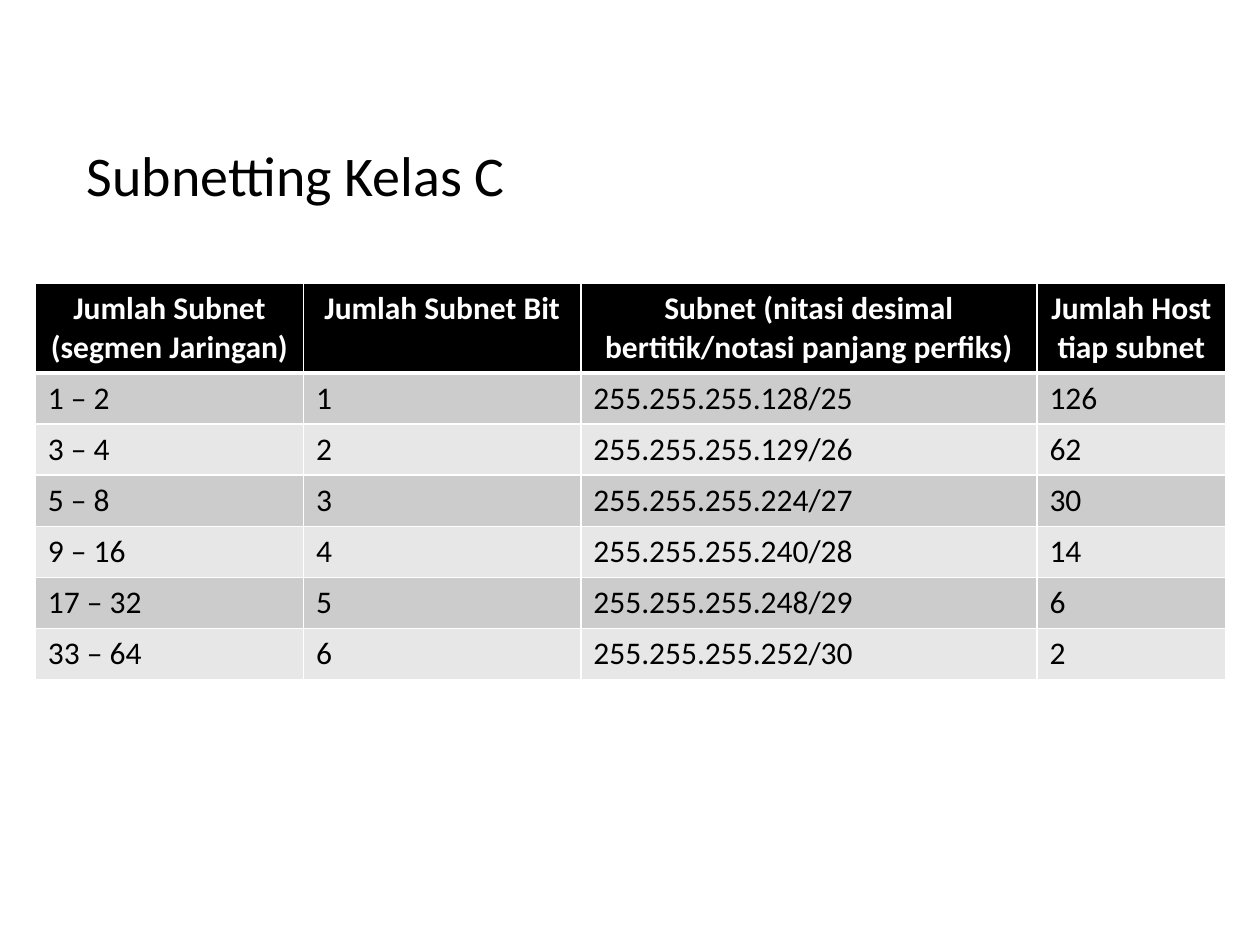
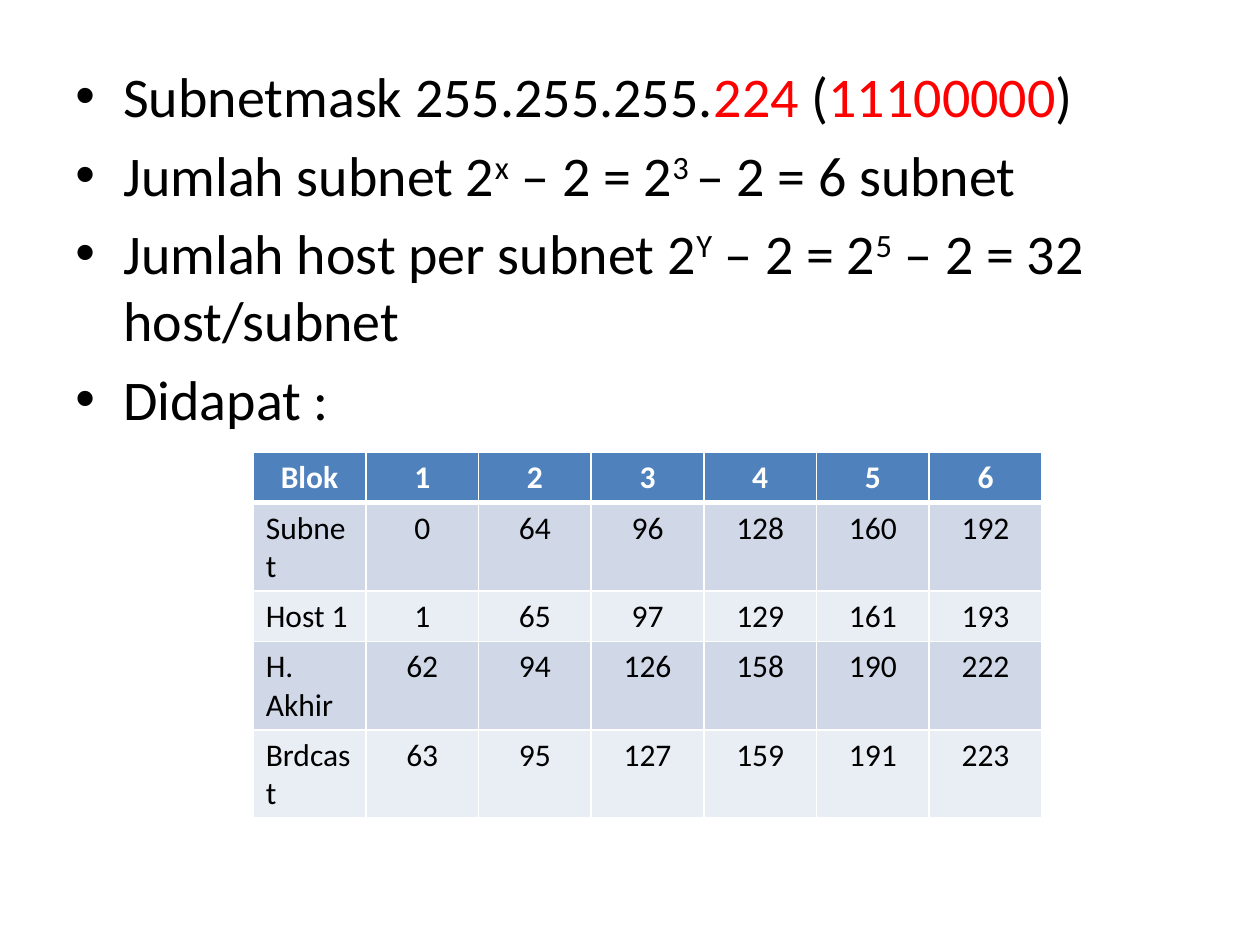
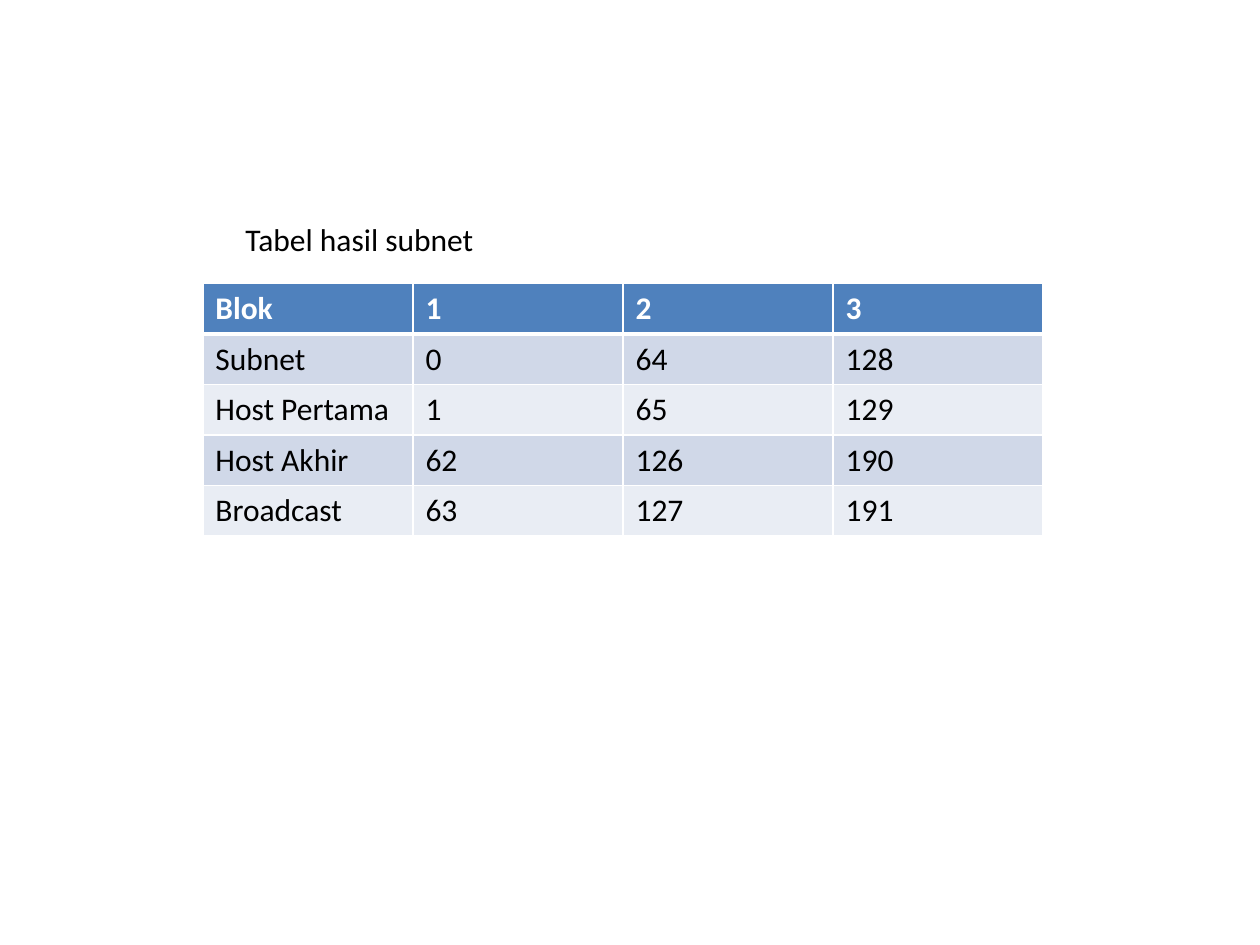
from lxml import etree
from pptx import Presentation, util as u
from pptx.dml.color import RGBColor
from pptx.enum import text
from pptx.oxml import ns

BLACK = RGBColor(0x00, 0x00, 0x00)
WHITE = RGBColor(0xFF, 0xFF, 0xFF)
RED = RGBColor(0xFF, 0x00, 0x00)
BLUE = RGBColor(0x4F, 0x81, 0xBD)

# Header colour, then the two alternating row colours
GRAY_BANDS = (BLACK, RGBColor(0xCC, 0xCC, 0xCC), RGBColor(0xE7, 0xE7, 0xE7))
BLUE_BANDS = (BLUE, RGBColor(0xD0, 0xD8, 0xE8), RGBColor(0xE9, 0xED, 0xF4))

FONT = "Calibri"
LARGE, SMALL = 32, 18
ROW_HEIGHT = 0.4
LEFT, CENTER = text.PP_ALIGN.LEFT, text.PP_ALIGN.CENTER


def add_element(parent, tag, **attributes):
    return etree.SubElement(parent, ns.qn(tag), attributes)


class Deck:
    def __init__(self):
        self.presentation = Presentation()
        self.presentation.slide_width = u.Inches(10)
        self.presentation.slide_height = u.Inches(7.5)
        self.slide = None

    def new_slide(self):
        self.slide = self.presentation.slides.add_slide(self.presentation.slide_layouts[6])

    def style(self, font, size, color=BLACK, bold=False):
        font.name = FONT
        font.size = u.Pt(size)
        font.color.rgb = color
        font.bold = bold

    def text_box(self, left, top, width, height):
        box = self.slide.shapes.add_textbox(*map(u.Inches, (left, top, width, height)))
        return box.text_frame

    def label(self, left, top, width, height, words, size):
        frame = self.text_box(left, top, width, height)
        frame.word_wrap = False
        frame.auto_size = text.MSO_AUTO_SIZE.SHAPE_TO_FIT_TEXT
        frame.text = words
        self.style(frame.paragraphs[0].runs[0].font, size)

    def bullets(self, left, top, width, height, items):
        """Each item is a list of (words, kind), kind being "", "red" or "super"."""
        frame = self.text_box(left, top, width, height)
        frame.word_wrap = True
        for index, item in enumerate(items):
            paragraph = frame.add_paragraph() if index else frame.paragraphs[0]
            properties = paragraph._p.get_or_add_pPr()
            properties.set("marL", str(u.Inches(0.38)))
            properties.set("indent", str(-u.Inches(0.38)))
            if index:
                spacing = add_element(properties, "a:spcBef")
                add_element(spacing, "a:spcPct", val="20000")
            add_element(properties, "a:buFont", typeface="Arial")
            add_element(properties, "a:buChar", char="•")
            for words, kind in item:
                run = paragraph.add_run()
                run.text = words
                self.style(run.font, LARGE, RED if kind == "red" else BLACK)
                if kind == "super":
                    run._r.get_or_add_rPr().set("baseline", "30000")

    def cell_borders(self, cell, row):
        properties = cell._tc.get_or_add_tcPr()
        thick = {0: "a:lnB", 1: "a:lnT"}.get(row)
        for side in ("a:lnL", "a:lnR", "a:lnT", "a:lnB"):
            line = add_element(properties, side, w=str(u.Pt(3 if side == thick else 1)))
            fill = add_element(line, "a:solidFill")
            add_element(fill, "a:srgbClr", val=str(WHITE))

    def table(self, left, top, widths, rows, bands, alignment):
        """alignment(row, column) gives the alignment of a cell."""
        frame = self.slide.shapes.add_table(
            len(rows), len(widths), u.Inches(left), u.Inches(top),
            u.Inches(sum(widths)), u.Inches(ROW_HEIGHT * len(rows)))
        table = frame.table
        for column, width in zip(table.columns, widths):
            column.width = u.Inches(width)
        for row, values in enumerate(rows):
            table.rows[row].height = u.Inches(ROW_HEIGHT)
            for column, value in enumerate(values):
                cell = table.cell(row, column)
                self.cell_borders(cell, row)
                cell.fill.solid()
                cell.fill.fore_color.rgb = bands[2 - row % 2] if row else bands[0]
                cell.text = str(value)
                paragraph = cell.text_frame.paragraphs[0]
                paragraph.alignment = alignment(row, column)
                header = row == 0
                self.style(paragraph.runs[0].font, SMALL, WHITE if header else BLACK, header)


def main():
    deck = Deck()

    # Class C subnetting
    deck.new_slide()
    masks = ("128/25", "129/26", "224/27", "240/28", "248/29", "252/30")
    ranges = ("1 – 2", "3 – 4", "5 – 8", "9 – 16", "17 – 32", "33 – 64")
    hosts = (126, 62, 30, 14, 6, 2)
    rows = [("Jumlah Subnet (segmen Jaringan)", "Jumlah Subnet Bit",
             "Subnet (nitasi desimal bertitik/notasi panjang perfiks)",
             "Jumlah Host tiap subnet")]
    for bits, (subnets, mask, count) in enumerate(zip(ranges, masks, hosts), 1):
        rows.append((subnets, bits, "255.255.255." + mask, count))
    deck.table(0.28, 2.25, (2.13, 2.2, 3.62, 1.5), rows, GRAY_BANDS,
               lambda row, column: LEFT if row else CENTER)
    deck.label(0.59, 1.07, 3.57, 0.64, "Subnetting Kelas C", LARGE)

    # Worked example with six blocks
    deck.new_slide()
    deck.bullets(0.5, 0.44, 9, 6.26, [
        [("Subnetmask 255.255.255.", ""), ("224 ", "red"), ("(", ""),
         ("11100000", "red"), (")", "")],
        [("Jumlah subnet 2", ""), ("x", "super"), (" – 2 = 2", ""),
         ("3 ", "super"), ("– 2 = 6 subnet", "")],
        [("Jumlah host per subnet 2", ""), ("Y", "super"), (" – 2 = 2", ""),
         ("5", "super"), (" – 2 = 32 host/subnet", "")],
        [("Didapat :", "")],
    ])
    deck.table(2.01, 3.59, [6.26 / 7] * 7, [
        ("Blok", 1, 2, 3, 4, 5, 6),
        ("Subnet", 0, 64, 96, 128, 160, 192),
        ("Host 1", 1, 65, 97, 129, 161, 193),
        ("H. Akhir", 62, 94, 126, 158, 190, 222),
        ("Brdcast", 63, 95, 127, 159, 191, 223),
    ], BLUE_BANDS, lambda row, column: LEFT if row and column == 0 else CENTER)

    # Resulting subnets
    deck.new_slide()
    deck.table(1.61, 2.25, [6.67 / 4] * 4, [
        ("Blok", 1, 2, 3),
        ("Subnet", 0, 64, 128),
        ("Host Pertama", 1, 65, 129),
        ("Host Akhir", 62, 126, 190),
        ("Broadcast", 63, 127, 191),
    ], BLUE_BANDS, lambda row, column: LEFT)
    deck.label(1.85, 1.7, 2.03, 0.4, "Tabel hasil subnet", SMALL)

    deck.presentation.save("out.pptx")


if __name__ == "__main__":
    main()
